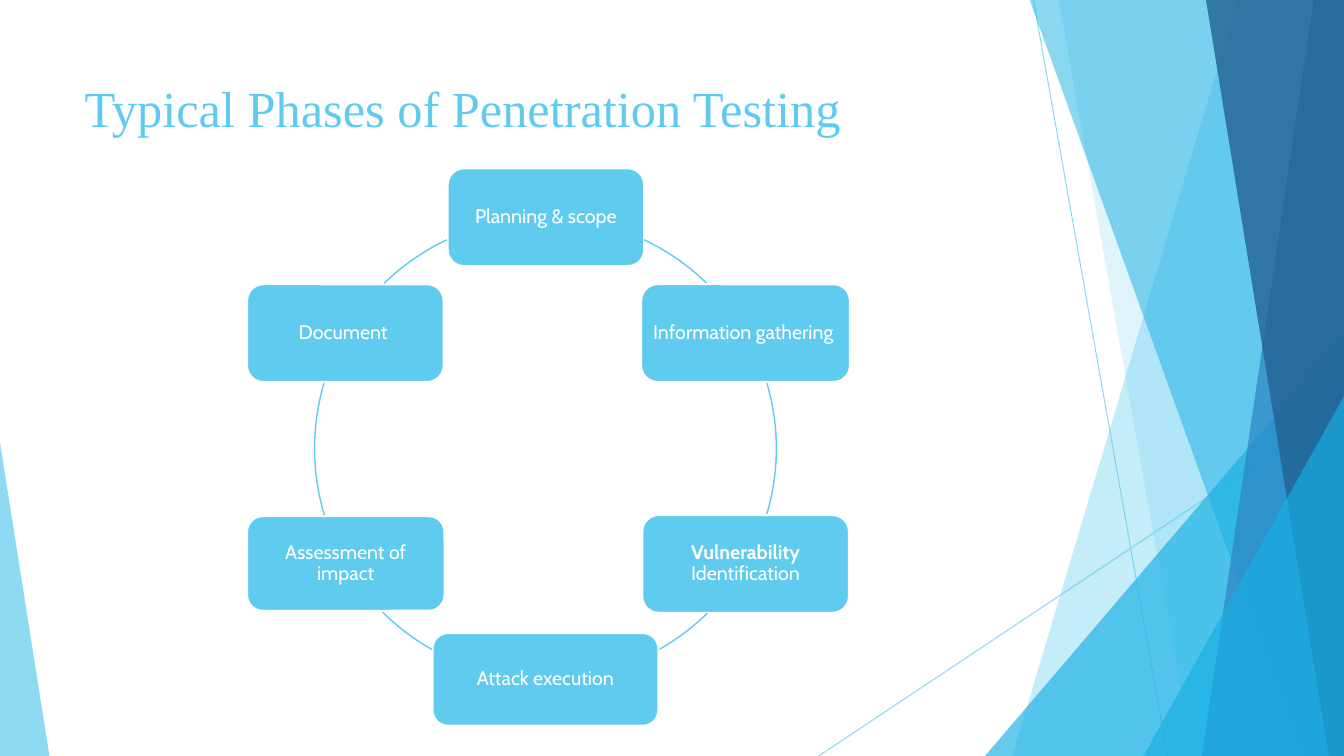
from lxml import etree
from pptx import Presentation, util as u
from pptx.dml.color import RGBColor
from pptx.enum import shapes, text
from pptx.oxml.ns import qn

SCALE = 9144  # EMU per px, 100 px to the inch
WIDTH, HEIGHT = 1333, 750
SKY, CYAN, BLUE, NAVY, WHITE = "5FCBEF", "17B0E4", "2E83C3", "226292", "FFFFFF"

RAYS = [((1025, 0), (1158, 750)), ((1333, 403), (812, 750))]

# top left x, bottom left x, colour, opacity; all reach the right edge
BACK_BANDS = [(1228, 1004, SKY, 36), (1050, 1183, SKY, 20)]
FRONT_BANDS = [(1021, 1291, CYAN, 50), (1303, 1192, BLUE, 70), (1196, 1318, NAVY, 80)]

# left, top, width, height of each phase, clockwise; runs are (text, bold)
PHASES = [
    ((444, 167, 195, 97), [("Planning & scope", False)]),
    ((636, 282, 207, 97), [("Information gathering ", False)]),
    ((637, 511, 205, 97), [("Vulnerability", True), (" Identification", False)]),
    ((429, 628, 224, 92), [("Attack execution", False)]),
    ((245, 512, 196, 94), [("Assessment of impact", False)]),
    ((245, 282, 195, 97), [("Document ", False)]),
]
RING = (312, 216, 458, 458)
# start and end in degrees, clockwise from three o'clock
ARCS = [(295.3, 314.5), (343.5, 16.5), (45.5, 60.4),
        (119.4, 135), (163.2, 196.5), (225.7, 244.7)]


def px(*lengths):
    return [u.Emu(length * SCALE) for length in lengths]


def rgb(colour):
    return RGBColor.from_string(colour)


def set_opacity(shape, percent):
    for colour in shape.element.iter(qn("a:srgbClr")):
        etree.SubElement(colour, qn("a:alpha"), val=str(percent * 1000))


def fill_plain(shape, colour, opacity):
    shape.shadow.inherit = False
    shape.fill.solid()
    shape.fill.fore_color.rgb = rgb(colour)
    set_opacity(shape, opacity)
    shape.line.fill.background()


def add_ray(slide, start, end):
    ray = slide.shapes.add_connector(
        shapes.MSO_CONNECTOR.STRAIGHT, *px(*start), *px(*end))
    ray.line.color.rgb = rgb(SKY)
    ray.line.width = u.Pt(0.75)
    set_opacity(ray, 70)
    etree.SubElement(ray.element.spPr, qn("a:effectLst"))


def add_band(slide, top_x, bottom_x, colour, opacity):
    builder = slide.shapes.build_freeform(top_x, -1, scale=SCALE)
    builder.add_line_segments([(WIDTH, -1), (WIDTH, HEIGHT), (bottom_x, HEIGHT)])
    fill_plain(builder.convert_to_shape(), colour, opacity)


def add_triangle(slide, frame, peak, colour, opacity):
    """Peak is the place of the apex along the base, from 0 to 1."""
    triangle = slide.shapes.add_shape(
        shapes.MSO_SHAPE.ISOSCELES_TRIANGLE, *px(*frame))
    triangle.adjustments[0] = peak
    fill_plain(triangle, colour, opacity)


def add_backdrop(slide):
    for start, end in RAYS:
        add_ray(slide, start, end)
    for band in BACK_BANDS:
        add_band(slide, *band)
    add_triangle(slide, (977, 333, 356, 417), 1, CYAN, 66)
    for band in FRONT_BANDS:
        add_band(slide, *band)
    add_triangle(slide, (1134, 393, 199, 357), 1, CYAN, 66)
    add_triangle(slide, (0, 439, 49, 311), 0, SKY, 70)


def set_title(slide, wording):
    title = slide.shapes.title
    title.left, title.top, title.width, title.height = px(74, 67, 940, 99)
    frame = title.text_frame
    frame.text = wording
    frame.auto_size = text.MSO_AUTO_SIZE.NONE
    frame.vertical_anchor = text.MSO_ANCHOR.TOP
    frame.margin_top = px(9)[0]
    para = frame.paragraphs[0]
    para.alignment = text.PP_ALIGN.LEFT
    para.font.name = "Times New Roman"
    para.font.size = u.Pt(36)
    para.font.color.rgb = rgb(SKY)


def add_phase(slide, frame, runs):
    box = slide.shapes.add_shape(shapes.MSO_SHAPE.ROUNDED_RECTANGLE, *px(*frame))
    box.shadow.inherit = False
    box.fill.solid()
    box.fill.fore_color.rgb = rgb(SKY)
    box.line.color.rgb = rgb(WHITE)
    box.line.width = u.Pt(1.5)
    label = box.text_frame
    label.word_wrap = True
    label.vertical_anchor = text.MSO_ANCHOR.MIDDLE
    (label.margin_left, label.margin_top,
     label.margin_right, label.margin_bottom) = px(6, 6, 6, 6)
    para = label.paragraphs[0]
    para.alignment = text.PP_ALIGN.CENTER
    para.line_spacing = 0.9
    para.font.name = "Cabin"
    para.font.size = u.Pt(14)
    para.font.color.rgb = rgb(WHITE)
    for wording, bold in runs:
        span = para.add_run()
        span.text = wording
        span.font.bold = bold


def add_arc(slide, start, end):
    arc = slide.shapes.add_shape(shapes.MSO_SHAPE.ARC, *px(*RING))
    arc.shadow.inherit = False
    arc.fill.background()
    arc.line.color.rgb = rgb(SKY)
    arc.line.width = u.Pt(1)
    # an angle is stored in 60000ths of a degree, an adjustment in 100000ths
    for index, degrees in enumerate((start, end)):
        arc.adjustments[index] = degrees * 0.6


def main():
    deck = Presentation()
    deck.slide_width, deck.slide_height = px(WIDTH, HEIGHT)
    slide = deck.slides.add_slide(deck.slide_layouts.get_by_name("Title Only"))
    add_backdrop(slide)
    set_title(slide, "Typical Phases of Penetration Testing")
    for (frame, runs), (start, end) in zip(PHASES, ARCS):
        add_phase(slide, frame, runs)
        add_arc(slide, start, end)
    deck.save("out.pptx")


if __name__ == "__main__":
    main()
